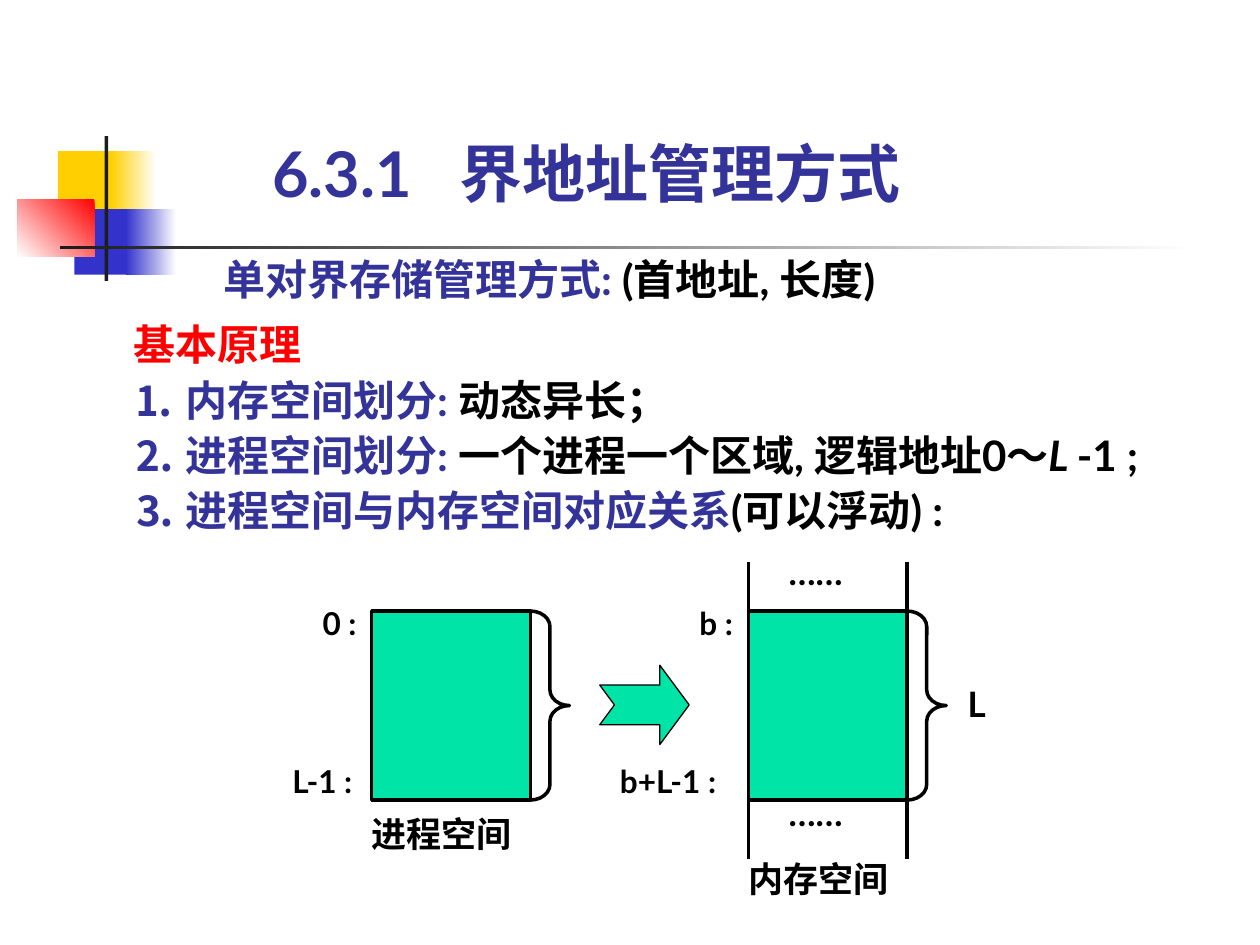
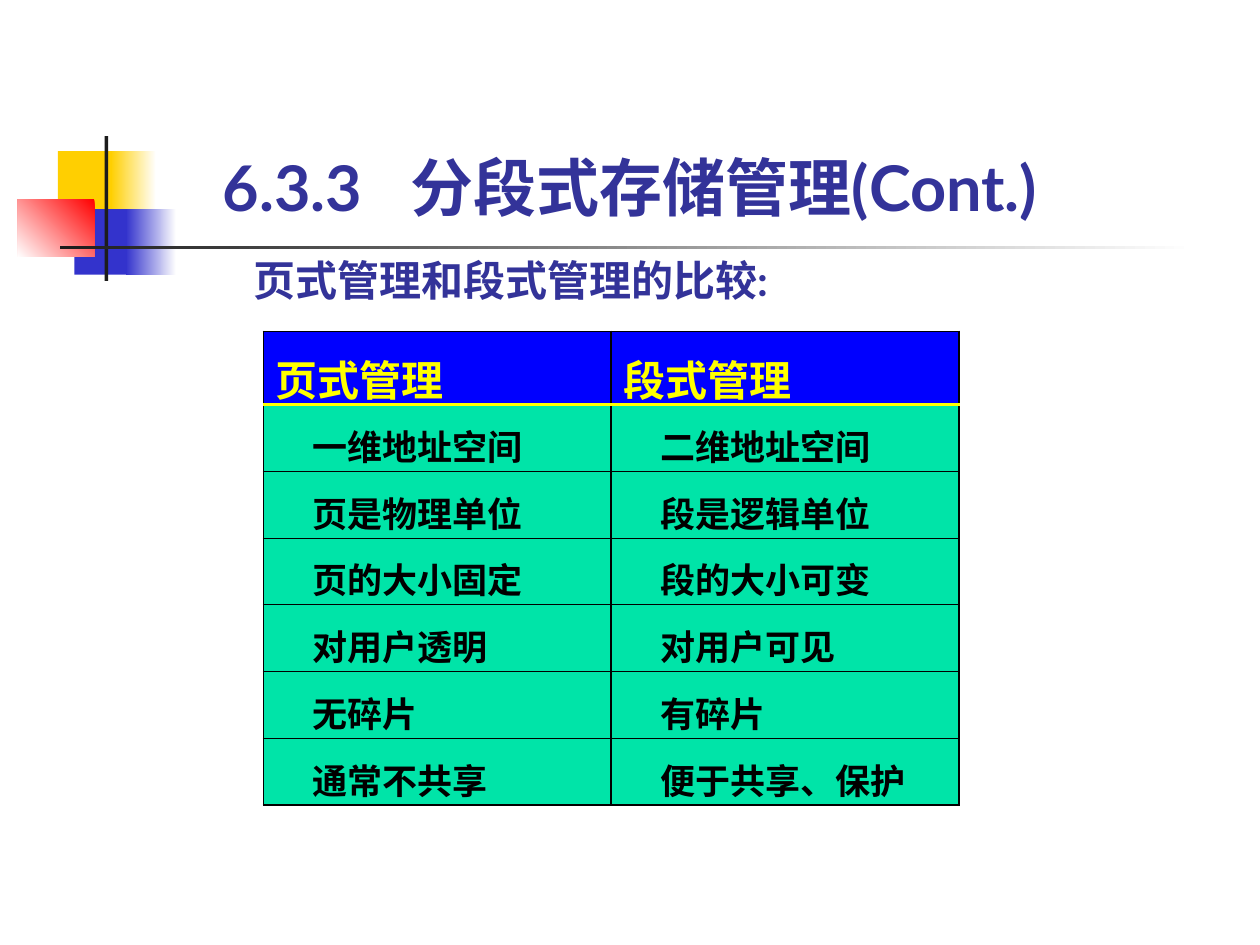
"""Build two slides on contiguous and segmented memory management."""
from dataclasses import dataclass

from lxml.etree import SubElement
from pptx import Presentation
from pptx.dml.color import RGBColor as RGB
from pptx.enum.shapes import MSO_CONNECTOR as Conn, MSO_SHAPE as Shape
from pptx.enum.text import MSO_ANCHOR as Anchor, MSO_AUTO_SIZE as AutoSize
from pptx.oxml.ns import qn
from pptx.util import Inches, Pt


@dataclass(frozen=True)
class Theme:
    font: str = "Lato"
    navy: str = "333399"
    black: str = "000000"
    charcoal: str = "1C1C1C"
    white: str = "FFFFFF"
    red: str = "FF0000"
    gold: str = "FFCF01"
    blue: str = "3333CC"
    green: str = "00E4A8"
    header_fill: str = "0000FF"
    yellow: str = "FFFF00"
    title: int = 36
    body: int = 24
    label: int = 20
    address: int = 18


T = Theme()


def add_shape(s, kind, box, fill=None, line=None, angle=180):
    sp = s.shapes.add_shape(kind, *map(Inches, box))
    sp.shadow.inherit = False
    if fill is None:
        sp.fill.background()
    elif isinstance(fill, tuple):
        sp.fill.gradient()
        sp.fill.gradient_angle = angle
        for stop, color in zip(sp.fill.gradient_stops, fill):
            stop.color.rgb = RGB.from_string(color)
    else:
        sp.fill.solid()
        sp.fill.fore_color.rgb = RGB.from_string(fill)
    if line:
        sp.line.color.rgb = RGB.from_string(T.black)
        sp.line.width = Pt(line)
    else:
        sp.line.fill.background()
    return sp


def add_text(s, box, paragraphs, size, spacing=1.0, anchor=Anchor.TOP, tab=None):
    tf = s.shapes.add_textbox(*map(Inches, box)).text_frame
    tf.margin_left = tf.margin_top = tf.margin_right = tf.margin_bottom = 0
    tf.word_wrap = True
    tf.auto_size = AutoSize.SHAPE_TO_FIT_TEXT
    tf.vertical_anchor = anchor
    for i, runs in enumerate(paragraphs):
        p = tf.add_paragraph() if i else tf.paragraphs[0]
        p.line_spacing = spacing
        if tab:
            tabs = SubElement(p._p.get_or_add_pPr(), qn("a:tabLst"))
            SubElement(tabs, qn("a:tab"), pos=str(Inches(tab)), algn="l")
        for text, color, *italic in runs:
            r = p.add_run()
            r.text = text
            r.font.name = T.font
            r.font.size = Pt(size)
            r.font.bold = True
            r.font.italic = bool(italic)
            r.font.color.rgb = RGB.from_string(color)


prs = Presentation()
prs.slide_width, prs.slide_height = Inches(10), Inches(7.5)

titles = [
    ("6.3.1\t界地址管理方式", (2.16, 1.07, 5.35, 0.6), 1.0),
    ("6.3.3\t分段式存储管理(Cont.)", (1.77, 1.27, 6.93, 0.51), 0.85),
]
decor = [
    ((0.46, 1.2, 0.48, 0.52), T.gold, 0),
    ((0.88, 1.2, 0.36, 0.52), (T.white, T.gold), 180),
    ((0.59, 1.66, 0.46, 0.52), T.blue, 0),
    ((1, 1.66, 0.4, 0.52), (T.white, T.blue), 180),
    ((0.14, 1.58, 0.61, 0.46), (T.red, T.white), 225),
    ((0.83, 1.08, 0.03, 1.15), T.charcoal, 0),
    ((0.48, 1.95, 9, 0.03), (T.white, T.charcoal), 180),
]
for title, box, spacing in titles:
    s = prs.slides.add_slide(prs.slide_layouts[6])
    for decor_box, fill, angle in decor:
        add_shape(s, Shape.RECTANGLE, decor_box, fill, angle=angle)
    add_text(s, box, [[(title, T.navy)]], T.title, spacing, Anchor.BOTTOM, tab=1.49)

s = prs.slides[0]
add_text(s, (1.77, 2.01, 6.69, 0.4),
         [[("单对界存储管理方式: ", T.navy), ("(首地址, 长度)", T.black)]],
         T.body, anchor=Anchor.BOTTOM)
principles = [
    [("基本原理", T.red)],
    [("⒈ 内存空间划分: ", T.navy), ("动态异长；", T.black)],
    [("⒉ 进程空间划分: ", T.navy), ("一个进程一个区域, 逻辑地址0～", T.black),
     ("L ", T.black, True), ("-1 ;", T.black)],
    [("⒊ 进程空间与内存空间对应关系", T.navy), ("(可以浮动) :", T.black)],
]
add_text(s, (1.06, 2.49, 8.7, 1.76), principles, T.body, 1.1)

process_x, memory_x = 2.95, 5.94
space_y, space_w, space_h = 4.85, 1.26, 1.5
for x in (process_x, memory_x):
    add_shape(s, Shape.RECTANGLE, (x, space_y, space_w, space_h), T.green, 2)
    brace = add_shape(s, Shape.RIGHT_BRACE, (x + space_w, space_y, 0.31, space_h), line=2)
    brace.adjustments[0] = 0.4
for x in (memory_x, memory_x + space_w):
    c = s.shapes.add_connector(Conn.STRAIGHT, Inches(x), Inches(4.46), Inches(x), Inches(6.82))
    c.line.color.rgb = RGB.from_string(T.black)
    c.line.width = Pt(2)
    SubElement(c._element.spPr, qn("a:effectLst"))
arrow = add_shape(s, Shape.NOTCHED_RIGHT_ARROW, (4.76, 5.28, 0.71, 0.63), T.green, 0.75)
arrow.adjustments[1] = 0.37

labels = [
    ("0 :", 2.56, 4.85, 0.32, T.address, 0.8),
    ("L-1 :", 2.32, 6.11, 0.79, T.address, 0.8),
    ("b :", 5.55, 4.85, 0.32, T.address, 0.8),
    ("b+L-1 :", 4.92, 6.11, 1.02, T.address, 0.8),
    ("L", 7.68, 5.42, 0.24, T.label, 1.0),
    ("……", 6.26, 4.43, 0.71, T.label, 0.8),
    ("……", 6.26, 6.35, 0.71, T.label, 0.8),
    ("进程空间", process_x, 6.51, space_w, T.label, 0.8),
    ("内存空间", memory_x, 6.87, space_w, T.label, 0.8),
]
for text, x, y, w, size, spacing in labels:
    add_text(s, (x, y, w, 0.27), [[(text, T.black)]], size, spacing)

s = prs.slides[1]
add_text(s, (2.01, 2.1, 4.41, 0.32), [[("页式管理和段式管理的比较:", T.navy)]], T.body, 0.8)
comparison = [
    ("页式管理", "段式管理"),
    ("一维地址空间", "二维地址空间"),
    ("页是物理单位", "段是逻辑单位"),
    ("页的大小固定", "段的大小可变"),
    ("对用户透明", "对用户可见"),
    ("无碎片", "有碎片"),
    ("通常不共享", "便于共享、保护"),
]
last = len(comparison) - 1
table = s.shapes.add_table(len(comparison), 2, Inches(2.09), Inches(2.63),
                           Inches(5.52), Inches(3.72)).table
table.first_row = table.horz_banding = False
for column in table.columns:
    column.width = Inches(2.76)

outer, inner, rule = (T.black, 1.08), (T.black, 0.45), (T.yellow, 1.47)
edges = [outer, rule] + [inner] * (last - 1) + [outer]
for i, row in enumerate(comparison):
    head = i == 0
    table.rows[i].height = Inches(0.54 if head else 0.53)
    for j, text in enumerate(row):
        cell = table.cell(i, j)
        cell.text_frame.text = text
        cell.vertical_anchor = Anchor.MIDDLE
        cell.margin_left = Inches(0.1 if head else 0.39)
        cell.margin_top = Inches(0.13 if head else 0.12)
        font = cell.text_frame.paragraphs[0].runs[0].font
        font.name = T.font
        font.size = Pt(T.body if head else T.label)
        font.bold = True
        font.color.rgb = RGB.from_string(T.yellow if head else T.black)
        tcPr = cell._tc.get_or_add_tcPr()
        borders = {"L": outer, "R": outer, "T": edges[i], "B": edges[i + 1]}
        for side, (color, width) in borders.items():
            ln = SubElement(tcPr, qn(f"a:ln{side}"), w=str(Pt(width)))
            SubElement(SubElement(ln, qn("a:solidFill")), qn("a:srgbClr"), val=color)
        cell.fill.solid()
        cell.fill.fore_color.rgb = RGB.from_string(T.header_fill if head else T.green)

prs.save("out.pptx")
